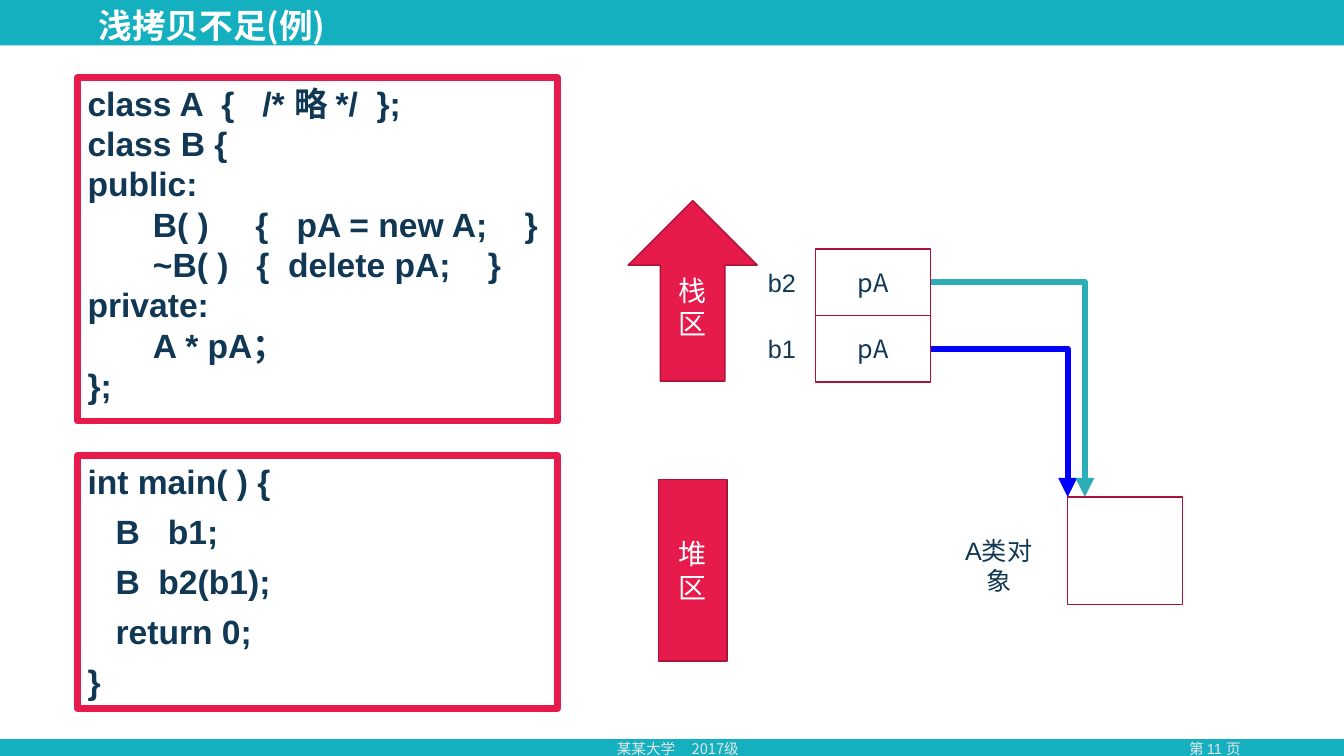
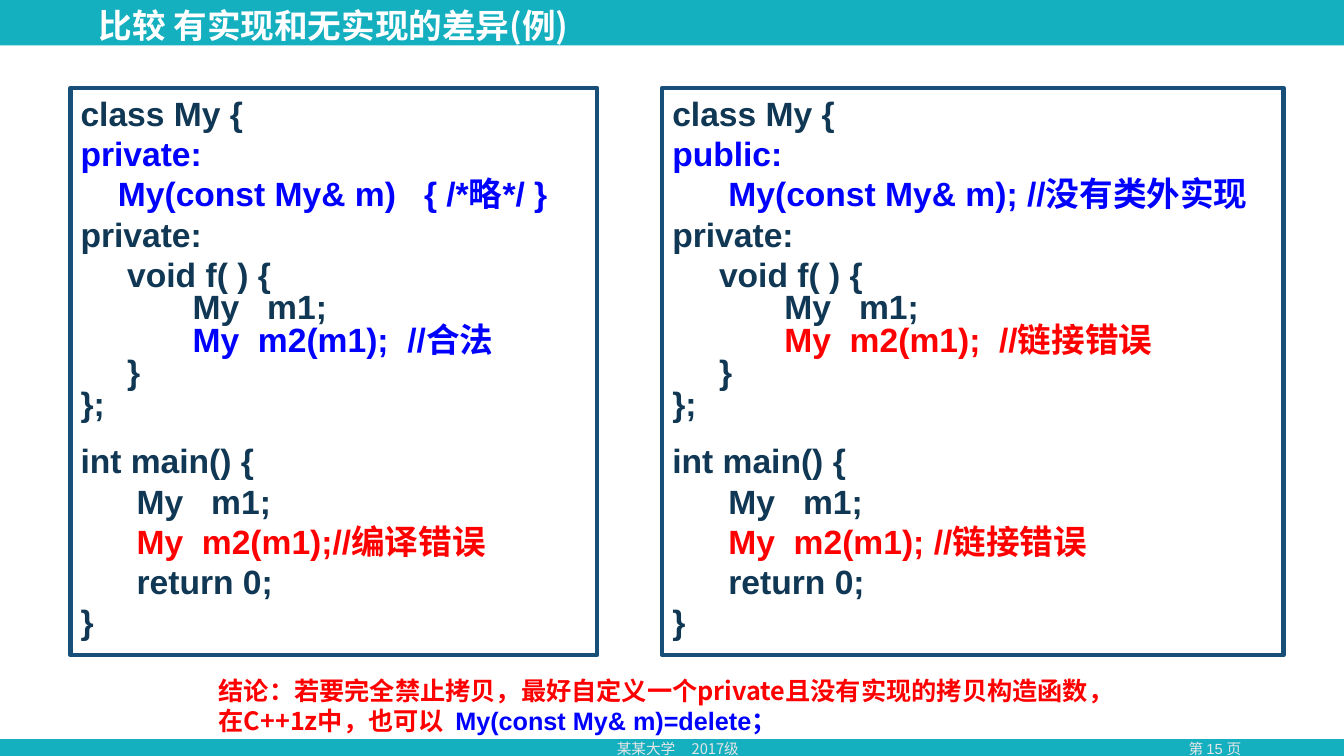
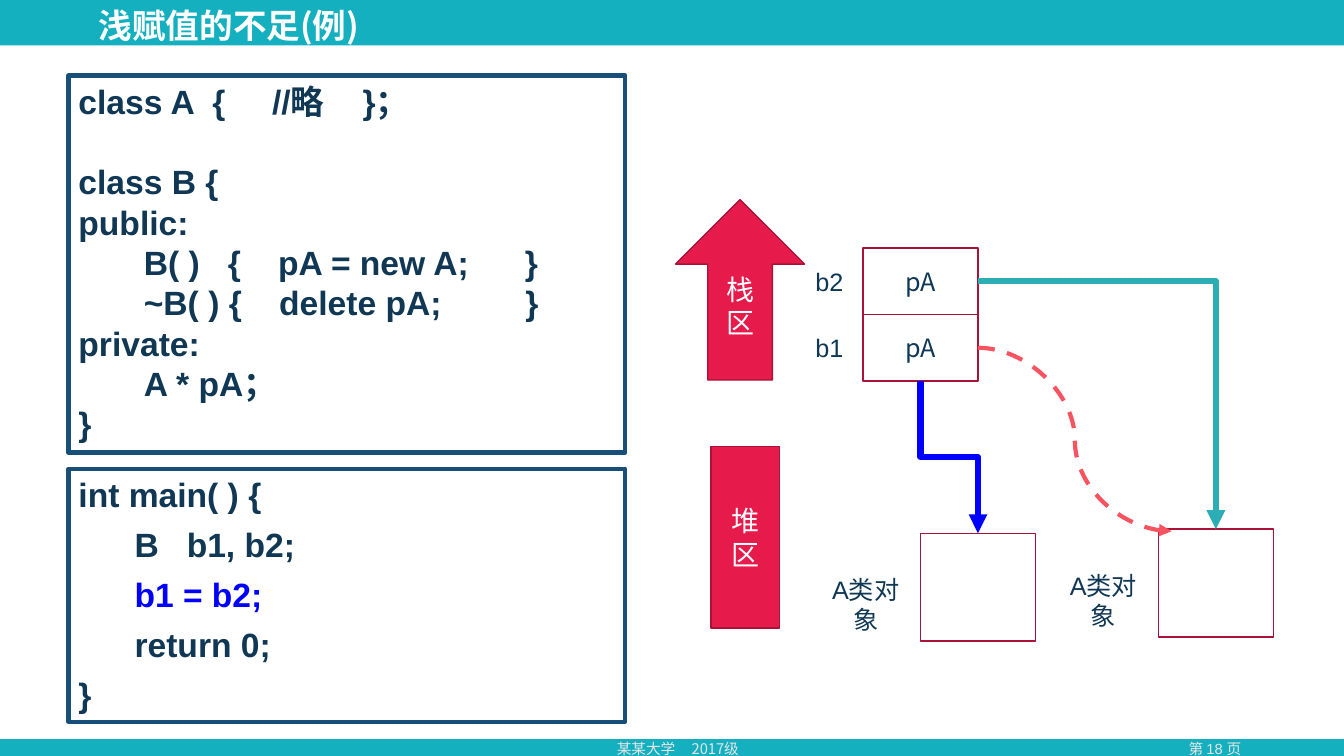
import dataclasses

import lxml.etree
import pptx
import pptx.dml.color
import pptx.enum.dml
import pptx.enum.shapes
import pptx.enum.text
import pptx.oxml.ns
import pptx.util

Inches, Pt = pptx.util.Inches, pptx.util.Pt
qn = pptx.oxml.ns.qn
KIND = pptx.enum.shapes.MSO_SHAPE
WIRE = pptx.enum.shapes.MSO_CONNECTOR
ANCHOR = pptx.enum.text.MSO_ANCHOR
ALIGN = pptx.enum.text.PP_ALIGN


@dataclasses.dataclass(frozen=True)
class Theme:
    teal: str = "14B0C0"
    white: str = "FFFFFF"
    pale: str = "E7E6E6"
    ink: str = "103754"
    navy: str = "174F78"
    rose: str = "E61A4B"
    wine: str = "AA1337"
    blue: str = "0000FF"
    red: str = "FF0000"
    sea: str = "2DAEB7"
    coral: str = "F85360"
    latin: str = "Arial"
    han: str = "Noto Sans CJK SC"
    head: float = 24
    block: float = 20
    body: float = 18
    foot: float = 10.5
    pitch: float = 1.2
    space: float = 6.67  # width of one blank in bold code, in points


T = Theme()


@dataclasses.dataclass(frozen=True)
class Line:
    """One line of code; its leading blanks become an indent."""
    text: str
    hue: str = T.ink
    gap: float = 0
    lead: float = 1


def rgb(hue):
    return pptx.dml.color.RGBColor.from_string(hue)


def style(font, size, hue, face=T.latin, bold=False):
    font.size, font.bold = Pt(size), bold
    font.color.rgb = rgb(hue)
    font.name = face
    lxml.etree.SubElement(font._rPr, qn("a:ea")).set("typeface", T.han)


def place(box):
    return [Inches(v) for v in box]


def shape(slide, box, fill=None, edge=None, width=1, kind=KIND.RECTANGLE):
    item = slide.shapes.add_shape(kind, *place(box))
    item.shadow.inherit = False
    if fill:
        item.fill.solid()
        item.fill.fore_color.rgb = rgb(fill)
    else:
        item.fill.background()
    if edge:
        item.line.color.rgb = rgb(edge)
        item.line.width = Pt(width)
    else:
        item.line.fill.background()
    return item


def write(item, text, size, hue, face=T.latin, align=ALIGN.CENTER,
          anchor=ANCHOR.MIDDLE, bold=False, lead=1):
    frame = item.text_frame
    frame.word_wrap = True
    frame.vertical_anchor = anchor
    para = frame.paragraphs[0]
    para.text, para.alignment = text, align
    para.line_spacing = Pt(size * T.pitch * lead)
    style(para.font, size, hue, face, bold)


def label(slide, box, text, size=T.body, hue=T.ink, **look):
    item = slide.shapes.add_textbox(*place(box))
    write(item, text, size, hue, anchor=ANCHOR.TOP, **look)


def page(deck, title, number):
    """Add a slide with the shared bands, title and footer."""
    slide = deck.slides.add_slide(deck.slide_layouts[6])
    shape(slide, (0, 0, 13.33, 7.5), T.teal)
    shape(slide, (0, 0.45, 13.33, 6.88), T.white)
    label(slide, (11.32, 7.29, 1.46, 0.28), f"第 {number} 页", T.foot, T.pale)
    label(slide, (6.02, 7.29, 1.84, 0.28), "某某大学     2017级", T.foot, T.pale,
          face=T.han, align=ALIGN.LEFT)
    label(slide, (0.88, 0.04, 7.68, 0.39), title, T.head, T.white,
          face=T.han, align=ALIGN.LEFT, bold=True, lead=0.9)
    return slide


def code(slide, box, edge, width, lines):
    frame = shape(slide, box, None, edge, width).text_frame
    frame.word_wrap = True
    frame.vertical_anchor = ANCHOR.TOP
    for i, line in enumerate(lines):
        para = frame.add_paragraph() if i else frame.paragraphs[0]
        para.text = line.text.lstrip()
        para.alignment = ALIGN.LEFT
        para.line_spacing = Pt(T.head * T.pitch * line.lead)
        para.space_before = Pt(line.gap)
        blanks = len(line.text) - len(para.text)
        if blanks:
            para._p.get_or_add_pPr().set("marL", str(Pt(blanks * T.space)))
        style(para.font, T.head, line.hue, bold=True)


def stack(slide, x, y):
    """Draw the stack arrow and the cells b2 and b1; x, y is the corner of b2."""
    cells = []
    for i, name in enumerate(("b2", "b1")):
        top = y + i * 0.66
        cell = shape(slide, (x, top, 1.14, 0.66), T.white, T.wine)
        write(cell, "pA", T.body, T.ink, T.han)
        label(slide, (x - 0.69, top + 0.13, 0.71, 0.4), name)
        cells.append(cell)
    arrow = shape(slide, (x - 1.86, y - 0.48, 1.28, 1.79), T.rose, T.wine,
                  kind=KIND.UP_ARROW)
    write(arrow, "栈区", T.block, T.white, T.han)
    return cells


def heap(slide, x, y):
    item = shape(slide, (x, y, 0.68, 1.8), T.rose, T.wine,
                 kind=KIND.FLOWCHART_PROCESS)
    write(item, "堆区", T.block, T.white, T.han)


def target(slide, x, y, shift=1.09, drop=0.36):
    """Draw an object of class A with its label on the left."""
    label(slide, (x - shift, y + drop, 1.09, 0.4), "A类对象")
    return shape(slide, (x, y, 1.14, 1.07), T.white, T.wine)


def link(slide, cell, side, end, hue, width=4.5, kind=WIRE.ELBOW,
         corner=False, dash=False):
    """Lead an arrow from a cell's side to a point (x, y) or a shape's top."""
    point = place(end) if isinstance(end, tuple) else (0, 0)
    wire = slide.shapes.add_connector(kind, 0, 0, *point)
    wire.begin_connect(cell, side)
    if not isinstance(end, tuple):
        wire.end_connect(end, 0)
    wire.line.color.rgb = rgb(hue)
    wire.line.width = Pt(width)
    if dash:
        wire.line.dash_style = pptx.enum.dml.MSO_LINE.DASH
    props = wire._element.spPr
    tail = lxml.etree.SubElement(props.find(qn("a:ln")), qn("a:tailEnd"))
    tail.set("type", "triangle")
    lxml.etree.SubElement(props, qn("a:effectLst"))
    if corner:
        props.find(qn("a:prstGeom")).set("prst", "bentConnector2")
    return wire


def upright(wire):
    """Turn an elbow so that it leaves and arrives vertically."""
    wide, high = wire.width, wire.height
    wire.left += (wide - high) // 2
    wire.top += (high - wide) // 2
    wire.width, wire.height = high, wide
    form = wire._element.spPr.find(qn("a:xfrm"))
    form.set("rot", "16200000")
    form.set("flipH", "1")


def copying(deck):
    slide = page(deck, "浅拷贝不足(例)", 11)
    code(slide, (0.77, 0.77, 4.76, 3.41), T.rose, 4.5, [Line(t) for t in (
        "class A  {   /* 略 */  };",
        "class B {",
        "public:",
        "       B( )     {   pA = new A;    }",
        "       ~B( )   {  delete pA;    }",
        "private:",
        "       A * pA；",
        "};")])
    code(slide, (0.77, 4.52, 4.76, 2.51), T.rose, 4.5, [Line(t, gap=7) for t in (
        "int main( ) {", "   B   b1;", "   B  b2(b1);", "   return 0;", "}")])
    upper, lower = stack(slide, 8.09, 2.47)
    heap(slide, 6.53, 4.76)
    target(slide, 10.59, 4.93, 1.23, 0.33)
    link(slide, lower, 3, (10.59, 4.93), T.blue, corner=True)
    link(slide, upper, 3, (10.76, 4.93), T.sea, corner=True)


def listing(access, maker, inner, hue, outer):
    """Return the code of class My and main, which differ in a few lines."""
    return [
        Line("class My {"),
        Line(access, T.blue),
        Line(maker, T.blue),
        Line("private:"),
        Line("     void f( ) {"),
        Line("            My   m1;", lead=0.8),
        Line("            My  m2(m1);  " + inner, hue, lead=0.8),
        Line("     }", lead=0.8),
        Line("};", lead=0.8),
        Line("int main() {", gap=12),
        Line("      My   m1;"),
        Line("      My  m2(m1);" + outer, T.red),
        Line("      return 0;"),
        Line("}")]


def verdict(slide, box):
    frame = slide.shapes.add_textbox(*place(box)).text_frame
    frame.word_wrap = True
    first, last = frame.paragraphs[0], frame.add_paragraph()
    first.text = "结论：若要完全禁止拷贝，最好自定义一个private且没有实现的拷贝构造函数，"
    for para in (first, last):
        para.line_spacing = Pt(T.body * T.pitch)
        style(para.font, T.body, T.red, T.han, True)
    for text, hue, face in (("在C++1z中，也可以  ", T.red, T.han),
                            ("My(const My& m)=delete；", T.blue, T.latin)):
        run = last.add_run()
        run.text = text
        style(run.font, T.body, hue, face, True)


def compare(deck):
    slide = page(deck, "比较 有实现和无实现的差异(例)", 15)
    code(slide, (0.7, 0.87, 5.22, 5.63), T.navy, 3, listing(
        "private:", "    My(const My& m)   { /*略*/ }",
        "//合法", T.blue, "//编译错误"))
    code(slide, (6.57, 0.87, 6.16, 5.63), T.navy, 3, listing(
        "public:", "      My(const My& m); //没有类外实现",
        "//链接错误", T.red, " //链接错误"))
    verdict(slide, (2.07, 6.65, 9.22, 0.71))


def assign(deck):
    slide = page(deck, "浅赋值的不足(例)", 18)
    code(slide, (0.68, 0.75, 5.52, 3.74), T.navy, 3, [
        Line("class A  {     //略     }；"),
        Line("class B {", gap=T.head * T.pitch),
        Line("public:"),
        Line("       B( )   {    pA = new A;      }"),
        Line("       ~B( ) {    delete pA;         }"),
        Line("private:"),
        Line("       A * pA；"),
        Line("}")])
    code(slide, (0.68, 4.65, 5.52, 2.51), T.navy, 3, [
        Line("int main( ) {", gap=7),
        Line("      B   b1, b2;", gap=7),
        Line("      b1 = b2;", T.blue, gap=7),
        Line("      return 0;", gap=7),
        Line("}", gap=7)])
    upper, lower = stack(slide, 8.56, 2.46)
    heap(slide, 7.05, 4.43)
    near = target(slide, 9.13, 5.29)
    far = target(slide, 11.49, 5.25)
    upright(link(slide, lower, 2, near, T.blue))
    link(slide, upper, 3, far, T.sea, corner=True)
    link(slide, lower, 3, (11.62, 5.27), T.coral, 3, WIRE.CURVE, dash=True)


def main():
    deck = pptx.Presentation()
    deck.slide_width, deck.slide_height = Inches(13.33), Inches(7.5)
    for build in (copying, compare, assign):
        build(deck)
    deck.save("out.pptx")


if __name__ == "__main__":
    main()
